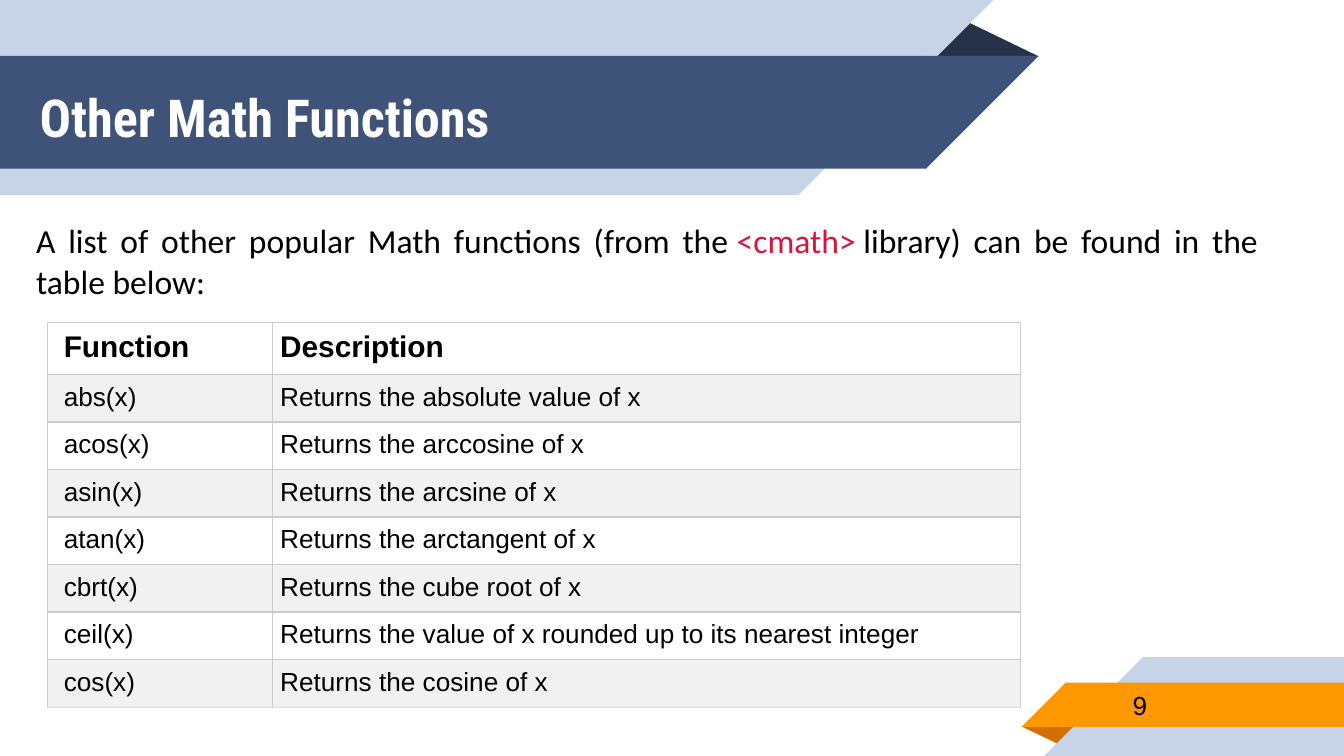
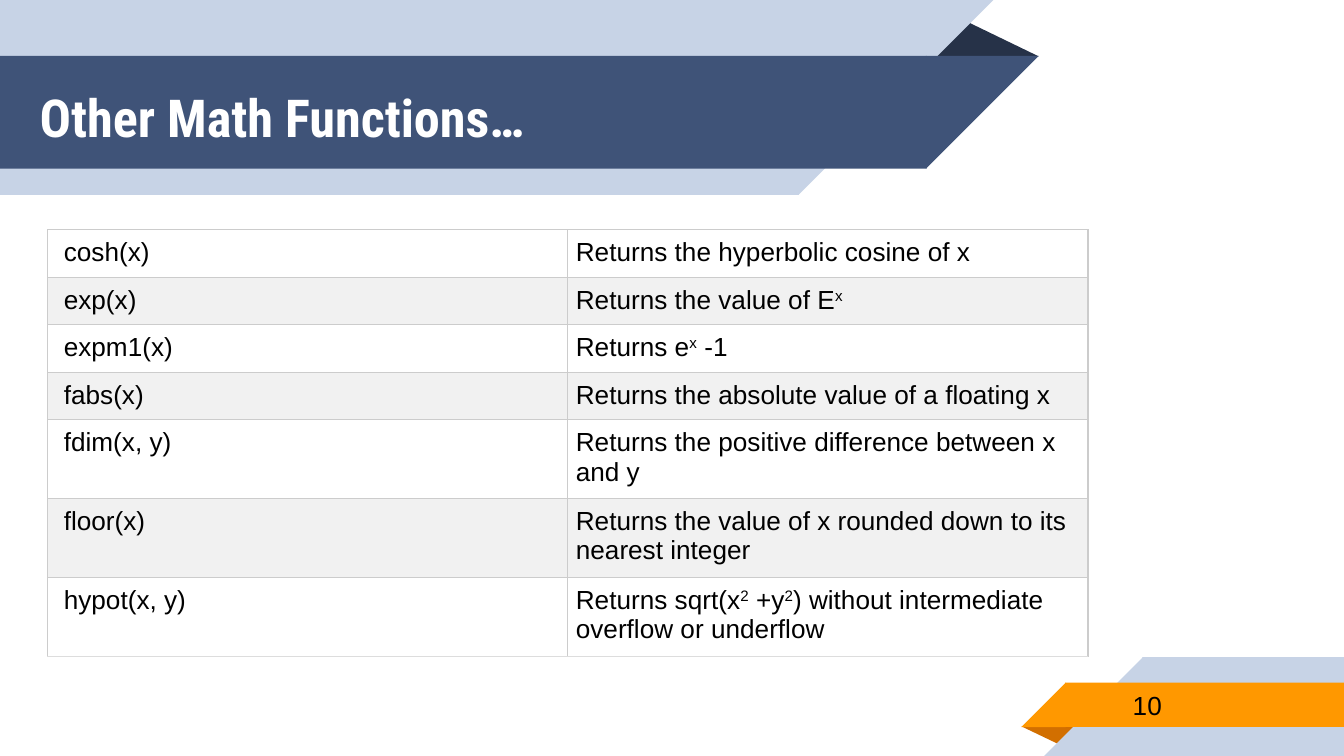
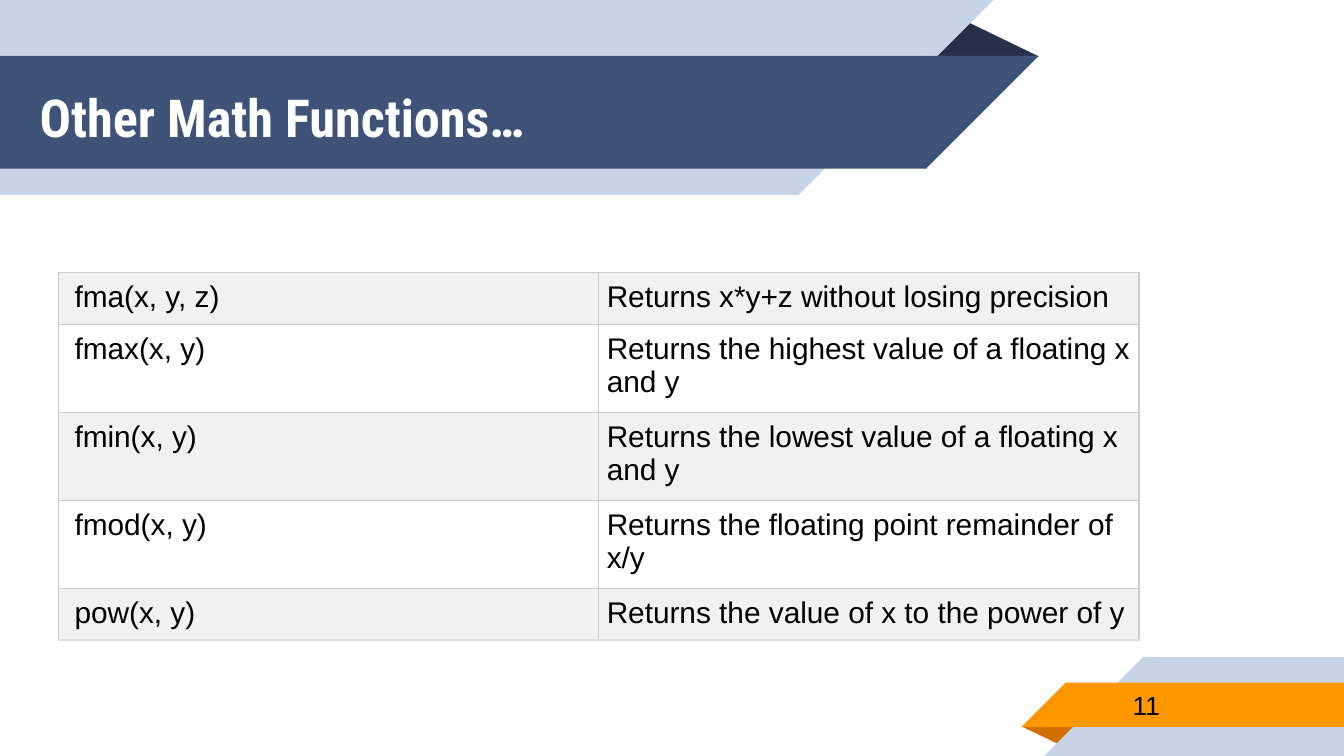
from dataclasses import dataclass
from typing import Any, NamedTuple

from lxml.etree import SubElement
from pptx import Presentation
from pptx.dml.color import RGBColor
from pptx.enum.shapes import MSO_SHAPE as Preset
from pptx.enum.text import MSO_ANCHOR as Anchor, PP_ALIGN as Align
from pptx.oxml.ns import qn
from pptx.util import Emu, Pt

PX = 4572  # 200 px to the inch
TITLE_ONLY = 5
FIRST_NUMBER = 9
NBSP = chr(160)

COLORS = {
    "white": "FFFFFF",
    "black": "000000",
    "crimson": "DC143C",
    "pale": "C7D3E6",
    "navy": "3F5378",
    "navy_fold": "263248",
    "orange": "FF9800",
    "orange_fold": "D26F00",
    "stripe": "F1F1F1",
    "border": "CCCCCC",
    "last_border": "DDDDDD",
}

TITLE_FONT = {"name": "Roboto Condensed", "size": Pt(28), "bold": True}
INTRO_FONT = {"name": "Calibri", "size": Pt(18)}
NUMBER_FONT = {"name": "Arial", "size": Pt(14)}


class Box(NamedTuple):
    left: int
    top: int
    width: int
    height: int

    def emu(self) -> list[Emu]:
        return [px(length) for length in self]


class Piece(NamedTuple):
    preset: Preset
    box: Box
    color: str
    rotation: int = 0
    flipped: bool = False


@dataclass
class FunctionTable:
    left: int
    top: int
    columns: tuple[int, int]
    rows: list[tuple[str, str]]
    row_heights: list[int]
    size: int = 14
    header: bool = False
    stripe_first: bool = False


@dataclass
class Lesson:
    title: str
    table: FunctionTable
    intro: tuple[tuple[str, str], ...] = ()


TITLE_BOX = Box(39, 90, 1202, 168)
INTRO_BOX = Box(34, 308, 1858, 814)
NUMBER_BOX = Box(1666, 1014, 326, 70)


def band(box: Box, color: str, at_top: bool) -> list[Piece]:
    """A bar with a 45 degree end that overlaps it by 1 px: right at the top, left at the bottom."""
    side = box.height
    corner = box.left + box.width - 1 if at_top else box.left - side + 1
    rotation = 180 if at_top else 0
    return [
        Piece(Preset.RECTANGLE, box, color, rotation, True),
        Piece(Preset.RIGHT_TRIANGLE, Box(corner, box.top, side, side), color, rotation, True),
    ]


TITLE_BANDS = [
    Piece(Preset.ISOSCELES_TRIANGLE, Box(1376, 28, 170, 56), "navy_fold"),
    *band(Box(0, 0, 1189, 290), "pale", True),
    *band(Box(0, 83, 1379, 168), "navy", True),
]
FOOTER_BANDS = [
    Piece(Preset.ISOSCELES_TRIANGLE, Box(1520, 1081, 86, 28), "orange_fold", 180),
    *band(Box(1700, 978, 300, 147), "pale", False),
    *band(Box(1585, 1016, 415, 66), "orange", False),
]

LESSONS = [
    Lesson(
        "Other Math Functions",
        FunctionTable(
            71,
            480,
            (334, 1114),
            [
                ("Function", "Description"),
                ("abs(x)", "Returns the absolute value of x"),
                ("acos(x)", "Returns the arccosine of x"),
                ("asin(x)", "Returns the arcsine of x"),
                ("atan(x)", "Returns the arctangent of x"),
                ("cbrt(x)", "Returns the cube root of x"),
                ("ceil(x)", "Returns the value of x rounded up to its nearest integer"),
                ("cos(x)", "Returns the cosine of x"),
            ],
            [58] * 8,
            header=True,
        ),
        (
            (f"A list of other popular Math functions (from the{NBSP}", "black"),
            ("<cmath>", "crimson"),
            (f"{NBSP}library) can be found in the table below:", "black"),
        ),
    ),
    Lesson(
        "Other Math Functions…",
        FunctionTable(
            71,
            342,
            (774, 774),
            [
                ("cosh(x)", "Returns the hyperbolic cosine of x"),
                ("exp(x)", "Returns the value of E^x"),
                ("expm1(x)", f"Returns e^x^{NBSP}-1"),
                ("fabs(x)", "Returns the absolute value of a floating x"),
                ("fdim(x, y)", "Returns the positive difference between x and y"),
                ("floor(x)", "Returns the value of x rounded down to its nearest integer"),
                (
                    "hypot(x, y)",
                    f"Returns sqrt(x^2^{NBSP}+y^2^) without intermediate overflow or underflow",
                ),
            ],
            [58] * 5 + [94] * 2,
        ),
    ),
    Lesson(
        "Other Math Functions…",
        FunctionTable(
            87,
            406,
            (804, 804),
            [
                ("fma(x, y, z)", "Returns x*y+z without losing precision"),
                ("fmax(x, y)", "Returns the highest value of a floating x and y"),
                ("fmin(x, y)", "Returns the lowest value of a floating x and y"),
                ("fmod(x, y)", "Returns the floating point remainder of x/y"),
                ("pow(x, y)", "Returns the value of x to the power of y"),
            ],
            [58] * 5,
            size=16,
            stripe_first=True,
        ),
    ),
]


def px(length: int) -> Emu:
    return Emu(length * PX)


def rgb(name: str) -> RGBColor:
    return RGBColor.from_string(COLORS[name])


def apply_format(target: Any, values: dict[str, Any]) -> None:
    for name, value in values.items():
        setattr(target, name, value)


def margins(left: int, top: int, right: int, bottom: int) -> dict[str, Emu]:
    return {
        "margin_left": px(left),
        "margin_top": px(top),
        "margin_right": px(right),
        "margin_bottom": px(bottom),
    }


def add_run(paragraph: Any, text: str, font: dict[str, Any], color: str = "black") -> Any:
    run = paragraph.add_run()
    run.text = text
    apply_format(run.font, font)
    run.font.color.rgb = rgb(color)
    return run


def format_frame(shape: Any, anchor: Anchor) -> Any:
    """Set the shared insets and return the first paragraph."""
    frame = shape.text_frame
    apply_format(
        frame, {"word_wrap": True, "vertical_anchor": anchor, **margins(20, 20, 20, 20)}
    )
    return frame.paragraphs[0]


def add_bands(slide: Any, pieces: list[Piece]) -> Any:
    group = slide.shapes.add_group_shape()
    for piece in pieces:
        shape = group.shapes.add_shape(piece.preset, *piece.box.emu())
        shape.shadow.inherit = False
        shape.fill.solid()
        shape.fill.fore_color.rgb = rgb(piece.color)
        shape.line.fill.background()
        shape.rotation = piece.rotation
        if piece.preset == Preset.ISOSCELES_TRIANGLE:
            shape.adjustments[0] = 0.32
        if piece.flipped:
            shape._element.spPr.xfrm.set("flipH", "1")
    return group


def move_bands_to_layout(slide: Any) -> None:
    layout = slide.slide_layout
    for placeholder in list(layout.placeholders)[1:]:
        layout.shapes._spTree.remove(placeholder._element)
    for pieces in (TITLE_BANDS, FOOTER_BANDS):
        layout.shapes._spTree.append(add_bands(slide, pieces)._element)


def set_title(slide: Any, text: str) -> None:
    title = slide.shapes.title
    apply_format(title, dict(zip(("left", "top", "width", "height"), TITLE_BOX.emu())))
    paragraph = format_frame(title, Anchor.MIDDLE)
    paragraph.alignment = Align.LEFT
    add_run(paragraph, text, TITLE_FONT, "white")


def add_intro(slide: Any, parts: tuple[tuple[str, str], ...]) -> None:
    paragraph = format_frame(slide.shapes.add_textbox(*INTRO_BOX.emu()), Anchor.TOP)
    apply_format(paragraph, {"alignment": Align.JUSTIFY, "space_after": Pt(10)})
    for text, color in parts:
        add_run(paragraph, text, INTRO_FONT, color)


def add_number(slide: Any, number: int) -> None:
    paragraph = format_frame(slide.shapes.add_textbox(*NUMBER_BOX.emu()), Anchor.MIDDLE)
    add_run(paragraph, str(number), NUMBER_FONT)


def set_borders(cell: Any, bottom: str) -> None:
    properties = cell._tc.get_or_add_tcPr()
    for side in "LRTB":
        line = SubElement(properties, qn(f"a:ln{side}"), w=str(Pt(0.75)))
        fill = SubElement(line, qn("a:solidFill"))
        color = COLORS[bottom if side == "B" else "border"]
        SubElement(fill, qn("a:srgbClr"), val=color)


def add_marked_text(paragraph: Any, text: str, font: dict[str, Any]) -> None:
    """A caret switches raised text on and off."""
    for index, part in enumerate(text.split("^")):
        run = add_run(paragraph, part, font)
        if index % 2:
            run._r.get_or_add_rPr().set("baseline", "30000")


def add_function_table(slide: Any, content: FunctionTable) -> None:
    row_count = len(content.rows)
    box = Box(content.left, content.top, sum(content.columns), sum(content.row_heights))
    table = slide.shapes.add_table(row_count, 2, *box.emu()).table
    apply_format(table, {"first_row": False, "horz_banding": False})
    for column, width in zip(table.columns, content.columns):
        column.width = px(width)
    for row, height in zip(table.rows, content.row_heights):
        row.height = px(height)

    for row_index, texts in enumerate(content.rows):
        is_header = content.header and row_index == 0
        font = {"name": "Arial", "size": Pt(16 if is_header else content.size), "bold": is_header}
        striped = (row_index % 2 == 0) == content.stripe_first
        for column_index, text in enumerate(texts):
            cell = table.cell(row_index, column_index)
            apply_format(cell, margins(12 if column_index else 24, 12, 11, 12))
            set_borders(cell, "last_border" if row_index == row_count - 1 else "border")
            cell.fill.solid()
            cell.fill.fore_color.rgb = rgb("stripe" if striped else "white")
            add_marked_text(cell.text_frame.paragraphs[0], text, font)


def main() -> None:
    presentation = Presentation()
    apply_format(presentation, {"slide_width": px(2000), "slide_height": px(1125)})
    layout = presentation.slide_layouts[TITLE_ONLY]
    for number, lesson in enumerate(LESSONS, FIRST_NUMBER):
        slide = presentation.slides.add_slide(layout)
        if number == FIRST_NUMBER:
            move_bands_to_layout(slide)
        set_title(slide, lesson.title)
        if lesson.intro:
            add_intro(slide, lesson.intro)
        add_number(slide, number)
        add_function_table(slide, lesson.table)
    presentation.save("out.pptx")


if __name__ == "__main__":
    main()
